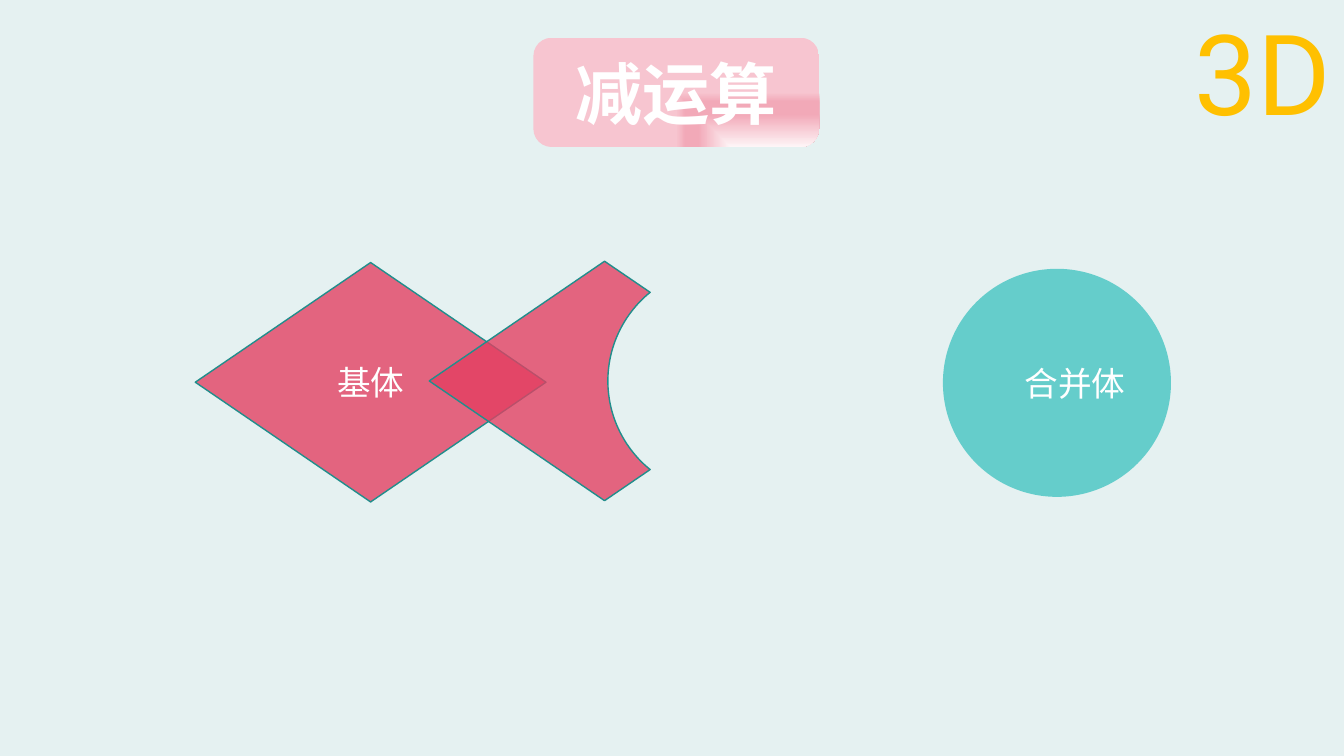
from dataclasses import dataclass
from math import cos, radians, sin

from lxml.etree import SubElement
from pptx import Presentation
from pptx.dml.color import RGBColor
from pptx.enum.shapes import MSO_SHAPE as Preset
from pptx.enum.text import MSO_ANCHOR as Anchor, PP_ALIGN as Align
from pptx.oxml import parse_xml
from pptx.oxml.ns import nsdecls, qn
from pptx.util import Inches, Pt

UNIT = Inches(1) / 12
COLUMNS, ROWS = 160, 90


@dataclass(frozen=True)
class Theme:
    backdrop: str = "E5F1F1"
    base: str = "E33F61"
    merged: str = "2CBEBB"
    outline: str = "218E8C"
    light: str = "FFFFFF"
    accent: str = "FFC000"
    glow: tuple = ((0, "FEF5F7"), (60, "F2A9B8"), (83, "F2A9B8"), (100, "F7C5D0"))
    body_font: str = "Calibri"
    accent_font: str = "Roboto"
    title_size: int = 48
    accent_size: int = 80
    label_size: int = 24


THEME = Theme()


def grid(*cells):
    return [round(cell * UNIT) for cell in cells]


def write(frame, words, size, color, font, bold=False, align=Align.CENTER):
    frame.text = words
    frame.word_wrap = True
    paragraph = frame.paragraphs[0]
    paragraph.alignment = align
    run_font = paragraph.runs[0].font
    run_font.name, run_font.size, run_font.bold = font, Pt(size), bold
    run_font.color.rgb = RGBColor.from_string(color)
    return paragraph


def paint(shape, color, opacity, outline=None):
    shape.shadow.inherit = False
    shape.fill.solid()
    shape.fill.fore_color.rgb = RGBColor.from_string(color)
    tint = shape.fill._xPr.find(qn("a:solidFill"))[0]
    SubElement(tint, qn("a:alpha")).set("val", str(opacity * 1000))
    if outline:
        shape.line.color.rgb = RGBColor.from_string(outline)
        shape.line.width = Pt(1)
    else:
        shape.line.fill.background()


def add_title(slide, box):
    banner = slide.shapes.add_shape(Preset.ROUNDED_RECTANGLE, *grid(*box))
    banner.shadow.inherit = False
    banner.line.fill.background()
    stops = "".join(
        f'<a:gs pos="{place * 1000}"><a:srgbClr val="{color}"/></a:gs>'
        for place, color in THEME.glow
    )
    glow = parse_xml(
        f'<a:gradFill {nsdecls("a")} rotWithShape="1"><a:gsLst>{stops}</a:gsLst>'
        '<a:path path="rect"><a:fillToRect l="100000" t="100000"/></a:path></a:gradFill>'
    )
    banner.fill.solid()
    properties = banner.fill._xPr
    properties.replace(properties.find(qn("a:solidFill")), glow)
    banner.text_frame.vertical_anchor = Anchor.MIDDLE
    write(banner.text_frame, "减运算", THEME.title_size, THEME.light, THEME.body_font, bold=True)


def add_corner_mark(slide, box):
    mark = slide.shapes.add_textbox(*grid(*box))
    paragraph = write(mark.text_frame, "3D", THEME.accent_size, THEME.accent,
                      THEME.accent_font, align=Align.LEFT)
    paragraph.line_spacing = 1.3


def add_body(slide, box, preset, words, color, opacity, outline=None):
    body = slide.shapes.add_shape(preset, *grid(*box))
    paint(body, color, opacity, outline)
    body.text_frame.vertical_anchor = Anchor.MIDDLE
    write(body.text_frame, words, THEME.label_size, THEME.light, THEME.body_font)
    return body


def add_cut_diamond(slide, box, radius, half_angle=51):
    left, top, width, height = box
    center_x, center_y = left + width / 2, top + height / 2
    hole_x = center_x + radius * cos(radians(half_angle)) + width * 0.13
    bite = [
        (hole_x - radius * cos(radians(angle)), center_y - radius * sin(radians(angle)))
        for angle in range(half_angle, -half_angle - 1, -2)
    ]
    corners = [*bite, (center_x, top + height), (left, center_y)]
    outline = slide.shapes.build_freeform(*grid(center_x, top), scale=1.0)
    outline.add_line_segments([grid(*corner) for corner in corners], close=True)
    paint(outline.convert_to_shape(), THEME.base, 79, THEME.outline)


def build_subtraction(slide):
    slide.background.fill.solid()
    slide.background.fill.fore_color.rgb = RGBColor.from_string(THEME.backdrop)
    add_title(slide, (63.5, 4.5, 34, 13))
    add_corner_mark(slide, (141, -5, 20.25, 22.25))
    add_body(slide, (23.25, 31.25, 41.75, 28.5), Preset.DIAMOND, "基体",
             THEME.base, 79, THEME.outline)
    diameter = 27.15
    merged = add_body(slide, (112.25, 32, diameter, diameter), Preset.OVAL, "合并体",
                      THEME.merged, 69)
    merged.text_frame.margin_left, merged.text_frame.margin_right = grid(4.3, 0)
    add_cut_diamond(slide, (51.1, 31.1, 41.75, 28.5), diameter / 2)


def main():
    deck = Presentation()
    deck.slide_width, deck.slide_height = grid(COLUMNS, ROWS)
    build_subtraction(deck.slides.add_slide(deck.slide_layouts[6]))
    deck.save("out.pptx")


if __name__ == "__main__":
    main()
